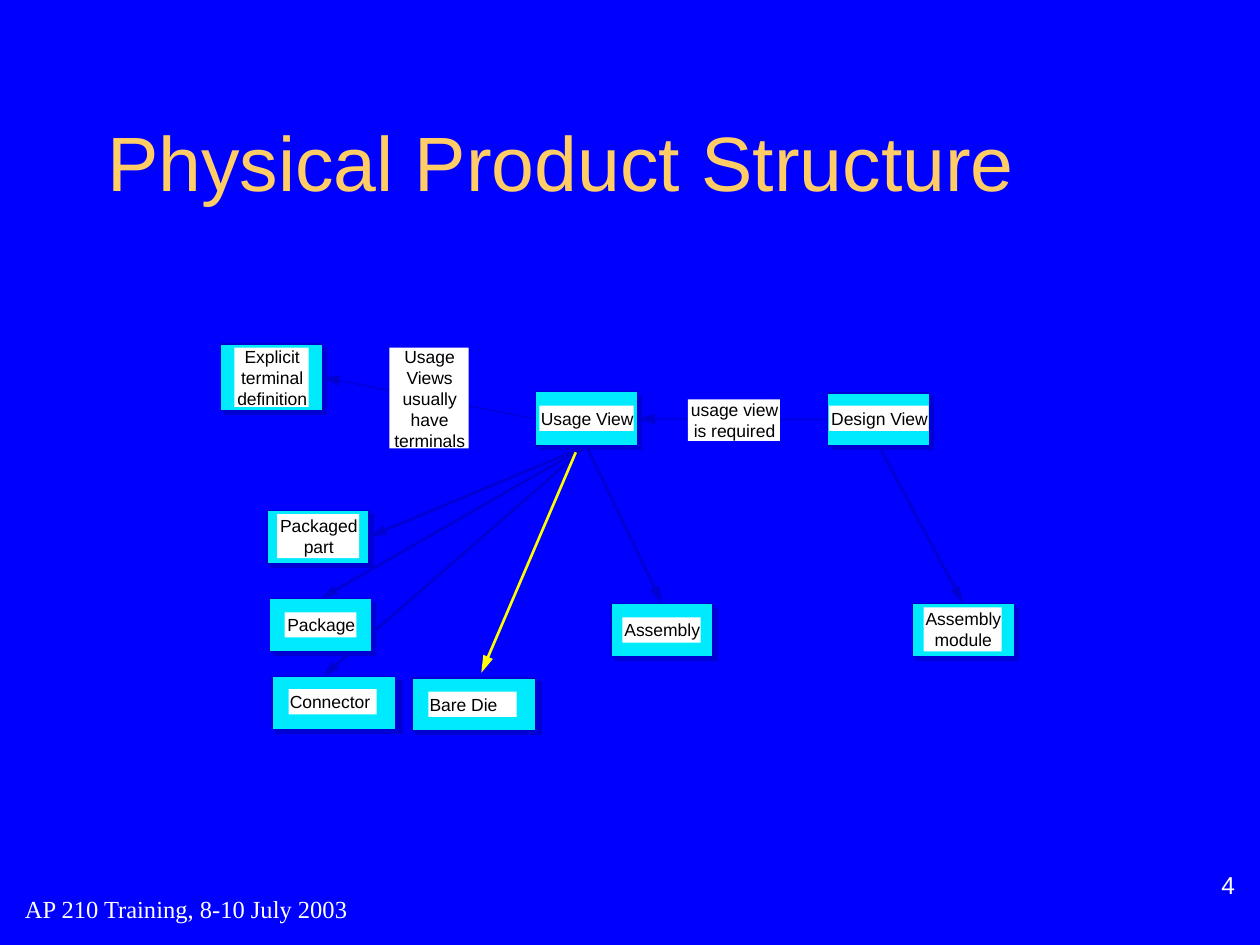
from lxml.etree import SubElement
from pptx import Presentation
from pptx.dml.color import RGBColor
from pptx.enum.shapes import MSO_CONNECTOR, MSO_SHAPE
from pptx.enum.text import MSO_ANCHOR, MSO_AUTO_SIZE, PP_ALIGN
from pptx.oxml.ns import qn
from pptx.util import Inches, Pt

THEME = {
    "background": RGBColor(0x00, 0x00, 0xFF),
    "shade": RGBColor(0x00, 0x00, 0xD3),
    "box": RGBColor(0x00, 0xEA, 0xFE),
    "plate": RGBColor(0xFF, 0xFF, 0xFF),
    "highlight": RGBColor(0xFF, 0xFF, 0x00),
    "title": ({"name": "Arial", "size": Pt(44)}, RGBColor(0xFF, 0xCC, 0x66)),
    "label": ({"name": "Arial", "size": Pt(10)}, RGBColor(0x00, 0x00, 0x00)),
    "footer": ({"name": "Times New Roman", "size": Pt(14)}, RGBColor(0xFF, 0xFF, 0xFF)),
    "number": ({"name": "Arial", "size": Pt(14)}, RGBColor(0xFF, 0xFF, 0xFF)),
}
CELL = Inches(0.1)  # the slide is a grid of 100 columns by 75 rows
TOP, LEFT, BOTTOM, RIGHT = range(4)

deck = Presentation()
deck.slide_width, deck.slide_height = 100 * CELL, 75 * CELL
slide = deck.slides.add_slide(deck.slide_layouts[5])
slide.background.fill.solid()
slide.background.fill.fore_color.rgb = THEME["background"]


def add_block(left, top, width, height, fill, line=None):
    block = slide.shapes.add_shape(
        MSO_SHAPE.RECTANGLE, *(round(cells * CELL) for cells in (left, top, width, height)))
    block.shadow.inherit = False
    block.fill.solid()
    block.fill.fore_color.rgb = THEME[fill]
    if line:
        block.line.color.rgb = THEME[line]
        block.line.width = Pt(0.75)
    else:
        block.line.fill.background()
    return block


def write(holder, lines, style, align, frame_format):
    frame = holder.text_frame
    for attribute, value in frame_format.items():
        setattr(frame, attribute, value)
    frame.text = "\n".join(lines)
    values, color = THEME[style]
    for paragraph in frame.paragraphs:
        paragraph.alignment = align
        for attribute, value in values.items():
            setattr(paragraph.font, attribute, value)
        paragraph.font.color.rgb = color


# Title
title = slide.shapes.title
title.left, title.top, title.width, title.height = (
    round(cells * CELL) for cells in (7.5, 8.6, 85, 8.3))
write(title, ["Physical Product Structure"], "title", PP_ALIGN.LEFT,
      {"vertical_anchor": MSO_ANCHOR.MIDDLE, "auto_size": MSO_AUTO_SIZE.NONE, "word_wrap": True})

# Relations: start box and side, or start point; end likewise; color; weight
relations = [
    (("Usage View", BOTTOM), ("Assembly", TOP), "shade", 1.5),
    (("Design View", BOTTOM), ("Assembly module", TOP), "shade", 1.5),
    (("Design View", LEFT), ("Usage View", RIGHT), "shade", 0.75),
    (("Usage View", LEFT), ("Explicit terminal definition", RIGHT), "shade", 0.75),
    (("Usage View", BOTTOM), ("Packaged part", RIGHT), "shade", 1.5),
    (("Usage View", BOTTOM), ("Package", TOP), "shade", 1.5),
    (("Usage View", BOTTOM), (25.6, 53.7), "shade", 1.5),
    ((45.7, 35.9), (38.2, 53.4), "highlight", 1.5),
]
arrows = []
for start, end, color, weight in relations:
    arrow = slide.shapes.add_connector(MSO_CONNECTOR.STRAIGHT, 0, 0, 0, 0)
    arrow.line.color.rgb = THEME[color]
    arrow.line.width = Pt(weight)
    SubElement(arrow.line._get_or_add_ln(), qn("a:tailEnd"), type="triangle", w="med", len="lg")
    SubElement(arrow._element.spPr, qn("a:effectLst"))
    arrows.append(arrow)

# Product boxes: left, top, width, height, shade width
products = {
    "Design View": (65.7, 31.2, 8.1, 4.2, 8.1),
    "Usage View": (42.5, 31.1, 8.1, 4.3, 8.1),
    "Assembly": (48.5, 47.9, 8.1, 4.2, 8.1),
    "Assembly module": (72.4, 47.9, 8.1, 4.2, 8.1),
    "Explicit terminal definition": (17.5, 27.3, 8.1, 5.3, 8.1),
    "Packaged part": (21.2, 40.5, 8.1, 4.2, 8.1),
    "Package": (21.4, 47.5, 8.1, 4.2, 8.1),
    "Connector": (21.6, 53.7, 9.8, 4.2, 10),
    "Bare Die": (32.7, 53.8, 9.8, 4.2, 10),
}
boxes = {}
for product, (left, top, width, height, shade_width) in products.items():
    add_block(left + 0.3, top + 0.3, shade_width, height, "shade", "shade")
    boxes[product] = add_block(left, top, width, height, "box", "shade")

# Arrow ends
for arrow, (start, end, *_) in zip(arrows, relations):
    if start[0] in boxes:
        arrow.begin_connect(boxes[start[0]], start[1])
    else:
        arrow.begin_x, arrow.begin_y = (round(cells * CELL) for cells in start)
    if end[0] in boxes:
        arrow.end_connect(boxes[end[0]], end[1])
    else:
        arrow.end_x, arrow.end_y = (round(cells * CELL) for cells in end)

# Label plates on boxes and arrows
labels = [
    (["usage view", "is required"], (54.6, 31.7, 7.3, 3.3), PP_ALIGN.CENTER),
    (["Usage", "Views", "usually", "have", "terminals"], (30.9, 27.6, 6.3, 8), PP_ALIGN.CENTER),
    (["Design View"], (65.8, 32.2, 7.9, 2), PP_ALIGN.CENTER),
    (["Usage View"], (42.8, 32.2, 7.5, 2), PP_ALIGN.CENTER),
    (["Assembly"], (49.4, 49, 6.2, 2), PP_ALIGN.CENTER),
    (["Assembly", "module"], (73.3, 48.2, 6.2, 3.5), PP_ALIGN.CENTER),
    (["Explicit", "terminal", "definition"], (18.6, 27.6, 5.9, 4.7), PP_ALIGN.CENTER),
    (["Packaged", "part"], (22, 40.8, 6.5, 3.5), PP_ALIGN.CENTER),
    (["Package"], (22.6, 48.6, 5.7, 2), PP_ALIGN.CENTER),
    (["Connector"], (22.9, 54.7, 7, 2), PP_ALIGN.LEFT),
    (["Bare Die"], (34, 54.9, 7, 2), PP_ALIGN.LEFT),
]
label_format = {
    "margin_left": Inches(0.01), "margin_right": 0, "margin_top": 0, "margin_bottom": 0,
    "vertical_anchor": MSO_ANCHOR.MIDDLE, "word_wrap": True,
}
for lines, place, align in labels:
    write(add_block(*place, "plate"), lines, "label", align, label_format)

# Footer and slide number
closing = [
    ("AP 210 Training, 8-10 July 2003", (1, 69.6, 46.7, 5), "footer", PP_ALIGN.LEFT,
     {"vertical_anchor": MSO_ANCHOR.MIDDLE, "word_wrap": True}),
    ("4", (78.5, 67.2, 20.5, 4.2), "number", PP_ALIGN.RIGHT,
     {"vertical_anchor": MSO_ANCHOR.BOTTOM, "word_wrap": True,
      "margin_top": 0, "margin_bottom": 0}),
]
for words, place, style, align, frame_format in closing:
    note = slide.shapes.add_textbox(*(round(cells * CELL) for cells in place))
    write(note, [words], style, align, frame_format)

deck.save("out.pptx")
